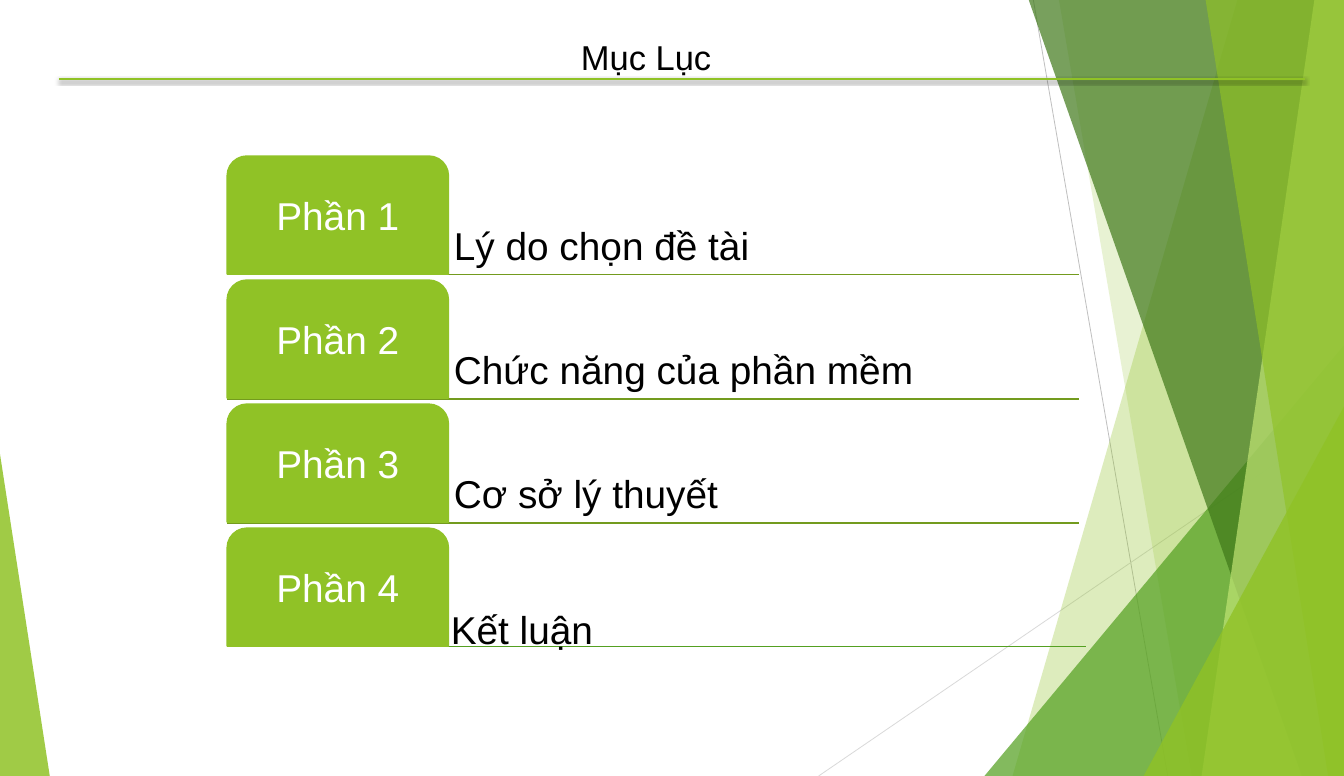
"""Build the table of contents slide with its green facet backdrop."""
from lxml.etree import SubElement
from pptx import Presentation
from pptx.dml.color import RGBColor
from pptx.enum.shapes import MSO_CONNECTOR as Connector, MSO_SHAPE as Shape
from pptx.enum.text import MSO_ANCHOR as Anchor, MSO_AUTO_SIZE as AutoSize, PP_ALIGN as Align
from pptx.oxml.ns import qn
from pptx.util import Cm, Pt

rgb = RGBColor.from_string
GREEN, BLACK, WHITE = "90C226", "000000", "FFFFFF"
WIDTH, HEIGHT = 44, 25.4


def paint(shape, color, opacity):
    shape.shadow.inherit = False
    shape.line.fill.background()
    shape.fill.solid()
    shape.fill.fore_color.rgb = rgb(color)
    color_element = shape.fill._xPr.find(qn("a:solidFill"))[0]
    SubElement(color_element, qn("a:alpha"), val=str(opacity * 1000))


def draw_line(x1, y1, x2, y2, color, weight):
    line = slide.shapes.add_connector(Connector.STRAIGHT, Cm(x1), Cm(y1), Cm(x2), Cm(y2))
    line.line.color.rgb = rgb(color)
    line.line.width = Pt(weight)
    return SubElement(line._element.spPr, qn("a:effectLst"))


presentation = Presentation()
presentation.slide_width, presentation.slide_height = Cm(WIDTH), Cm(HEIGHT)
slide = presentation.slides.add_slide(presentation.slide_layouts[6])

draw_line(33.83, 0, 38.23, HEIGHT, "BFBFBF", 0.75)
draw_line(WIDTH, 13.64, 26.8, HEIGHT, "D9D9D9", 0.75)

facets = [
    ("band", 40.51, 33.15, GREEN, 30),
    ("band", 34.67, 39.01, GREEN, 20),
    ("triangle", 32.23, 11.3, 11.77, 1, "54A021", 72),
    ("band", 33.68, 42.62, "3F7819", 70),
    ("band", 43.03, 39.34, "C0E474", 70),
    ("band", 39.47, 43.48, GREEN, 65),
    ("triangle", 37.44, 13.31, 6.56, 1, GREEN, 80),
    ("triangle", 0, 14.86, 1.63, 0, GREEN, 85),
]
for kind, *geometry, color, opacity in facets:
    if kind == "band":
        top_x, bottom_x = geometry
        builder = slide.shapes.build_freeform(Cm(top_x), 0)
        corners = [(WIDTH, 0), (WIDTH, HEIGHT), (bottom_x, HEIGHT)]
        builder.add_line_segments([(Cm(x), Cm(y)) for x, y in corners])
        facet = builder.convert_to_shape()
    else:
        left, top, width, apex = geometry
        facet = slide.shapes.add_shape(
            Shape.ISOSCELES_TRIANGLE, Cm(left), Cm(top), Cm(width), Cm(HEIGHT - top))
        facet.adjustments[0] = apex
    paint(facet, color, opacity)

rows = [
    ("Phần 1", "Lý do chọn đề tài", 14.68, 8.97, 0.18, 35.31, "739B1E", 1.5),
    ("Phần 2", "Chức năng của phần mềm", 14.68, 13.03, 0.18, 35.31, "739B1E", 1.5),
    ("Phần 3", "Cơ sở lý thuyết", 14.68, 17.09, 0.18, 35.31, "739B1E", 1.5),
    ("Phần 4", "Kết luận", 14.48, 21.64, 0.28, 35.56, "54A021", 1),
]
for index, (label, topic, left, bottom, inset, line_end, color, weight) in enumerate(rows):
    baseline = 8.99 + 4.06 * index
    draw_line(7.44, baseline, line_end, baseline, color, weight)

    tab = slide.shapes.add_shape(
        Shape.ROUND_2_SAME_RECTANGLE, Cm(7.44), Cm(baseline - 3.88), Cm(7.24), Cm(3.86))
    paint(tab, GREEN, 100)
    tab.line.color.rgb = rgb(GREEN)
    tab.line.width = Pt(1.5)
    topic_box = slide.shapes.add_textbox(Cm(left), Cm(bottom - 3.86), Cm(20.62), Cm(3.86))

    for shape, text, anchor, align, margin, ink in [
        (tab, label, Anchor.MIDDLE, Align.CENTER, 0.18, WHITE),
        (topic_box, topic, Anchor.BOTTOM, Align.LEFT, inset, BLACK),
    ]:
        frame = shape.text_frame
        frame.word_wrap = True
        frame.vertical_anchor = anchor
        frame.margin_left = frame.margin_right = Cm(margin)
        frame.margin_top = frame.margin_bottom = Cm(margin)
        paragraph = frame.paragraphs[0]
        paragraph.text = text
        paragraph.alignment = align
        paragraph.line_spacing = 0.9
        paragraph.font.name = "Arial"
        paragraph.font.size = Pt(36)
        paragraph.font.color.rgb = rgb(ink)

title = slide.shapes.add_textbox(Cm(18.77), Cm(1.04), Cm(14.73), Cm(1.63))
title.text_frame.word_wrap = True
title.text_frame.auto_size = AutoSize.SHAPE_TO_FIT_TEXT
paragraph = title.text_frame.paragraphs[0]
paragraph.text = "Mục Lục"
paragraph.font.name = "Arial"
paragraph.font.size = Pt(32)
paragraph.font.color.rgb = rgb(BLACK)

effects = draw_line(1.93, 2.59, 42.72, 2.59, GREEN, 2)
shadow = SubElement(effects, qn("a:outerShdw"), blurRad=str(Pt(3)), dist=str(Pt(2)),
                    dir="5400000", rotWithShape="0")
shadow_color = SubElement(shadow, qn("a:srgbClr"), val=BLACK)
SubElement(shadow_color, qn("a:alpha"), val="35000")

presentation.save("out.pptx")
